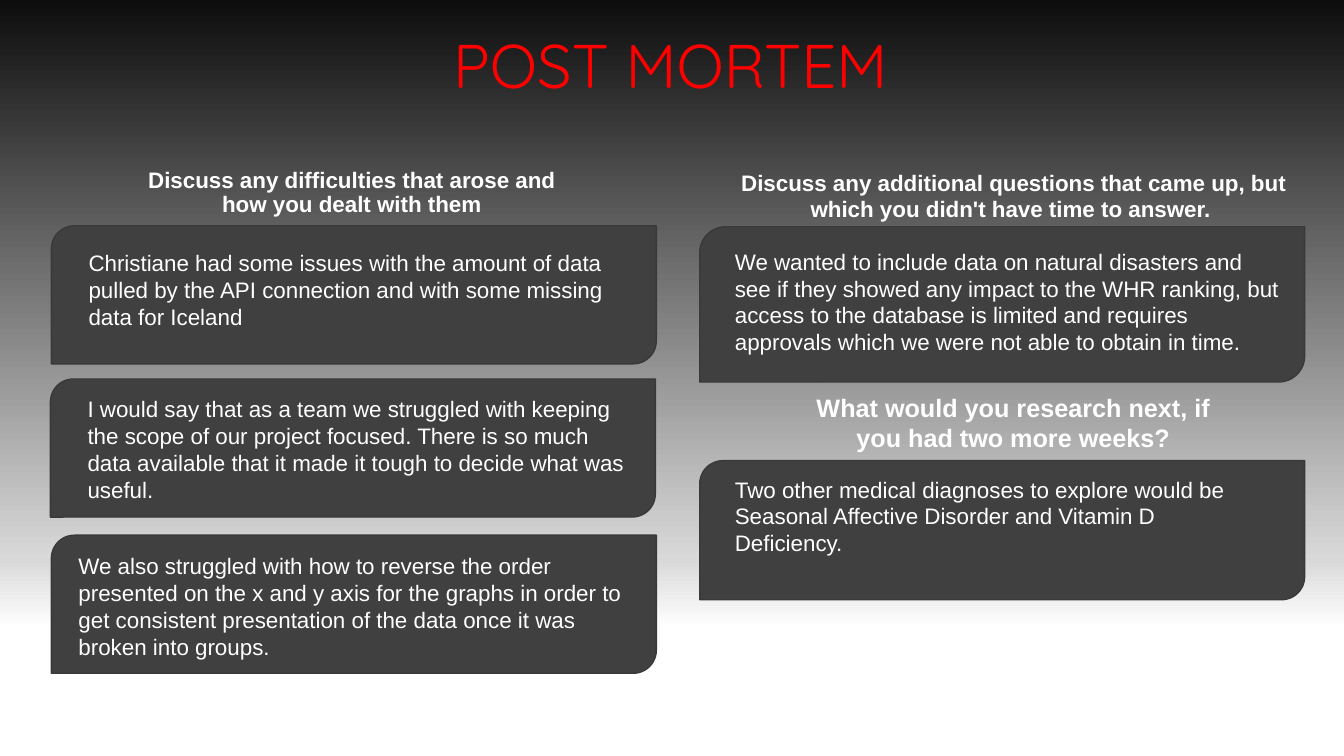
from lxml import etree
from pptx import Presentation
from pptx.dml.color import RGBColor
from pptx.enum import shapes, text
from pptx.oxml.ns import qn
from pptx.util import Inches, Pt

RED = RGBColor(0xFF, 0x00, 0x00)
WHITE = RGBColor(0xFF, 0xFF, 0xFF)
CARD_FILL = RGBColor(0x40, 0x40, 0x40)
CARD_LINE = RGBColor(0x3B, 0x38, 0x38)
BACKGROUND_STOPS = [(0, RGBColor(0x0D, 0x0D, 0x0D)), (74, RGBColor(0xD9, 0xD9, 0xD9)),
                    (83, WHITE), (100, WHITE)]
CARD_W = 6


def paint_background(s):
    """Fill the slide with a top-to-bottom gradient."""
    fill = s.background.fill
    fill.gradient()
    fill.gradient_angle = 270
    stops = next(s.element.iter(qn("a:gsLst")))
    for stop in list(stops):
        stops.remove(stop)
    for percent, color in BACKGROUND_STOPS:
        stop = etree.SubElement(stops, qn("a:gs"), pos=str(percent * 1000))
        etree.SubElement(stop, qn("a:srgbClr"), val=str(color))


def add_text(s, box, words, size=16, font="Arial", color=WHITE, bold=False,
             align=text.PP_ALIGN.LEFT, anchor=text.MSO_ANCHOR.TOP, spacing=None):
    sp = s.shapes.add_textbox(*map(Inches, box))
    tf = sp.text_frame
    tf.word_wrap = True
    tf.vertical_anchor = anchor
    p = tf.paragraphs[0]
    p.alignment = align
    p.line_spacing = spacing
    r = p.add_run()
    r.text = words
    r.font.name = font
    r.font.size = Pt(size)
    r.font.bold = bold
    r.font.color.rgb = color
    return sp


def add_heading(s, box, words, **style):
    add_text(s, box, words, bold=True, align=text.PP_ALIGN.CENTER, **style)


def add_card(s, left, top, height, note, words):
    """Draw a card; note is the text's box relative to the card's corner."""
    sp = s.shapes.add_shape(shapes.MSO_SHAPE.ROUND_2_DIAG_RECTANGLE,
                            *map(Inches, (left, top, CARD_W, height)))
    sp.shadow.inherit = False
    sp.fill.solid()
    sp.fill.fore_color.rgb = CARD_FILL
    sp.line.color.rgb = CARD_LINE
    sp.line.width = Pt(1)
    dx, dy, w, h = note
    return add_text(s, (left + dx, top + dy, w, h), words)


def add_title(s, box):
    add_text(s, box, "POST MORTEM", size=44, font="Quicksand", color=RED,
             align=text.PP_ALIGN.CENTER, anchor=text.MSO_ANCHOR.MIDDLE, spacing=0.9)


def add_difficulties(s, left, top):
    """Left column: one heading over three cards."""
    add_heading(s, (left + 0.83, top, 4.3, 0.57),
                "Discuss any difficulties that arose and how you dealt with them",
                spacing=0.9)
    cards = [
        (0, 0.61, (0.27, 0.18, 5.63, 0.91),
         "Christiane had some issues with the amount of data pulled by the API "
         "connection and with some missing data for Iceland"),
        (-0.01, 2.13, (0.27, 0.11, 5.63, 1.18),
         "I would say that as a team we struggled with keeping the scope of our "
         "project focused. There is so much data available that it made it tough "
         "to decide what was useful."),
        (0, 3.68, (0.17, 0.12, 5.82, 1.18),
         "We also struggled with how to reverse the order presented on the x and y "
         "axis for the graphs in order to get consistent presentation of the data "
         "once it was broken into groups."),
    ]
    for dx, dy, note, words in cards:
        add_card(s, left + dx, top + dy, 1.37, note, words)


def add_next_steps(s, left, top):
    """Right column: two headings, each over one card."""
    add_heading(s, (left + 0.25, top, 5.73, 0.64),
                "Discuss any additional questions that came up, but which you "
                "didn't have time to answer. ", anchor=text.MSO_ANCHOR.MIDDLE)
    add_card(s, left, top + 0.63, 1.54, (0.25, 0.16, 5.63, 1.18),
             "We wanted to include data on natural disasters and see if they showed "
             "any impact to the WHR ranking, but access to the database is limited "
             "and requires approvals which we were not able to obtain in time.")
    add_heading(s, (left + 0.84, top + 2.22, 4.54, 0.71),
                "What would you research next, if you had two more weeks?", size=18)
    diagnoses = add_card(s, left, top + 2.95, 1.38, (0.25, 0.1, 5.09, 0.91),
                         "Two other medical diagnoses to explore would be Seasonal "
                         "Affective Disorder and Vitamin D Deficiency.")
    diagnoses.fill.solid()
    diagnoses.fill.fore_color.rgb = CARD_FILL


def main():
    prs = Presentation()
    prs.slide_width, prs.slide_height = Inches(13.33), Inches(7.5)
    s = prs.slides.add_slide(prs.slide_layouts[6])
    paint_background(s)
    add_title(s, (0.13, 0.28, 13.04, 0.8))
    add_difficulties(s, 0.51, 1.63)
    add_next_steps(s, 6.94, 1.62)
    prs.save("out.pptx")


if __name__ == "__main__":
    main()
